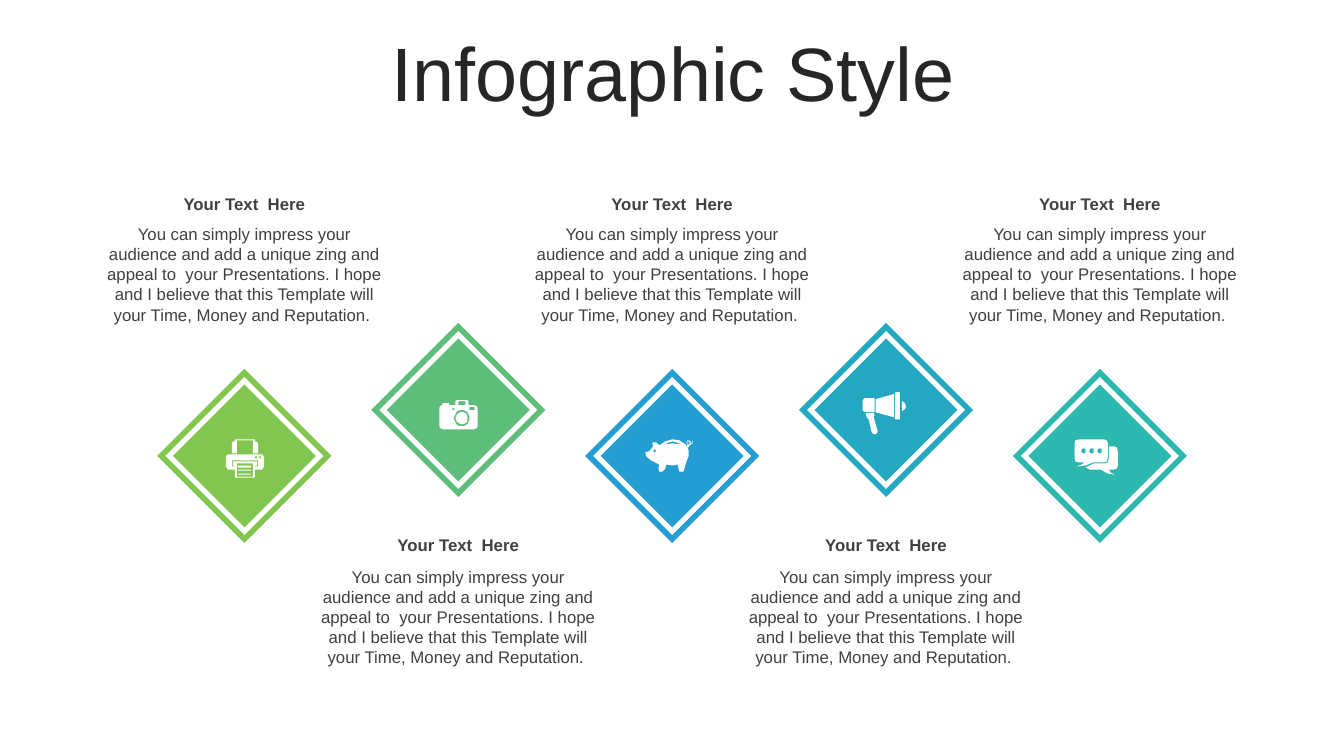
from dataclasses import dataclass
from math import cos, pi, sin

from lxml import etree
from pptx import Presentation
from pptx.dml.color import RGBColor
from pptx.enum.shapes import MSO_SHAPE
from pptx.enum.text import MSO_ANCHOR, PP_ALIGN
from pptx.oxml.ns import qn
from pptx.util import Cm, Pt

DIAMOND = MSO_SHAPE.DIAMOND
CENTER = PP_ALIGN.CENTER
MIDDLE = MSO_ANCHOR.MIDDLE
TOP = MSO_ANCHOR.TOP

Outline = list[tuple[float, float]]

COLORS = {
    "title": "262626",
    "text": "404040",
    "icon": "FFFFFF",
    "lime": "82C650",
    "green": "5CBE7A",
    "blue": "249ED2",
    "cyan": "24A8C2",
    "teal": "2CB8AE",
}
FONT = "Arial"
HEAD = "Your Text  Here"
BODY = (
    "You can simply impress your audience and add a unique zing and appeal to  "
    "your Presentations. I hope and I believe that this Template will your Time, "
    "Money and Reputation. "
)
MID_X = 16.94
STEP = 5.39
FILL_SIZE = 3.6
FRAME_SIZE = 4.19
TEXT_WIDTH = 7.67
UNIT = Cm(2.54) / 100


@dataclass
class Row:
    mid: float
    head: float
    body: float


@dataclass
class Item:
    color: str
    row: Row
    left: float
    top: float
    icon: list[Outline]


def box(left: float, top: float, right: float, bottom: float) -> Outline:
    return [(left, top), (right, top), (right, bottom), (left, bottom)]


def dot(x: float, y: float, radius: float) -> Outline:
    turns = [2 * pi * i / 24 for i in range(24)]
    return [(x + radius * cos(t), y + radius * sin(t)) for t in turns]


def poly(points: str) -> Outline:
    pairs = [pair.split(",") for pair in points.split()]
    return [(float(x), float(y)) for x, y in pairs]


PRINTER = [
    box(12, 34, 25, 35),
    box(12, 30, 25, 31),
    box(12, 26, 25, 28),
    box(11, 24, 27, 37),
    poly("6,21 6,27 9,27 9,26 7,26 7,22 31,22 31,26 29,26 29,27 32,27 32,21"),
    dot(34, 18, 1),
    dot(30, 18, 1),
    poly("2,15 36,15 38,17 38,27 36,30 29,30 29,38 9,38 9,30 2,30 0,27 0,17"),
    poly("9,0 29,0 29,2 30,2 32,4 32,14 27,14 27,1 11,1 11,14 6,14 6,4 7,2 9,2"),
]
CAMERA = [
    dot(22.5, 18, 6),
    dot(22.5, 18, 8),
    box(13, 8, 15, 10),
    box(30, 7, 35, 10),
    box(19, 1, 26, 5),
    poly("17,0 28,0 29,1 29,5 34,5 37,6 38,8 38,26 37,28 34,29 3,29 1,28 0,26 "
         "0,8 1,6 3,5 3,4 4,3 9,3 10,4 10,5 16,5 16,1"),
]
PIG = [
    dot(9.5, 11.5, 1.3),
    dot(43, 3.5, 1.2),
    poly("27,2 21,4 21,5 27,3.5 33,5 34,4"),
    poly("27,0 34,1 40,5 41,7 42,6 41,3 42,1 43,1 45,2 45,5 46,4 47,1 47,4 44,6 "
         "43,8 42,8 43,11 43,17 41,22 38,32 34,32 32,25 27,26 21,25 20,29 17,32 "
         "14,32 13,29 14,25 6,21 1,17 0,13 4,12 8,7 7,4 8,3 11,3 14,6 20,2"),
]
HORN = [
    poly("11,21 12,23 11,25 15,39 14,41 12,42 10,41 9,40 6,27 4,25 3,21"),
    poly("39,9 42,11 43,14 42,17 39,19"),
    poly("2,6 12,6 12,20 2,20 0,18 0,8"),
    poly("31,2 31,25 13,20 13,7"),
    box(32, 0, 37, 27),
]
CHAT = [
    *[dot(x, 11.5, 2.5) for x in (9, 17, 25)],
    poly("34,7 39,7 42,8 43,12 43,26 42,29 39,30 34,30 36,33 40,35 33,34 26,30 "
         "15,30 11,28 19,24 30,24 33,23 34,19"),
    poly("5,0 29,0 32,1 33,4 33,18 32,22 29,23 18,23 11,26 2,27 7,25 10,23 5,23 "
         "1,22 0,18 0,4 1,1"),
]

LOW = Row(11.49, 4.75, 5.51)
HIGH = Row(10.33, 13.36, 14.15)
ITEMS = [
    Item("lime", LOW, 5.69, 11.07, PRINTER),
    Item("green", HIGH, 11.07, 10.08, CAMERA),
    Item("blue", LOW, 16.26, 11.07, PIG),
    Item("cyan", HIGH, 21.74, 9.88, HORN),
    Item("teal", LOW, 27.08, 11.07, CHAT),
]


def paint(name: str) -> RGBColor:
    return RGBColor.from_string(COLORS[name])


def write(slide, text: str, x: float, top: float, width: float, height: float,
          size: float, color: str, bold: bool = False, anchor=TOP):
    area = slide.shapes.add_textbox(Cm(x - width / 2), Cm(top), Cm(width), Cm(height))
    frame = area.text_frame
    frame.word_wrap = True
    frame.vertical_anchor = anchor
    para = frame.paragraphs[0]
    para.text = text
    para.alignment = CENTER
    para.font.name = FONT
    para.font.size = Pt(size)
    para.font.bold = bold
    para.font.color.rgb = paint(color)
    return para


def diamond(slide, x: float, y: float, size: float):
    shape = slide.shapes.add_shape(
        DIAMOND, Cm(x - size / 2), Cm(y - size / 2), Cm(size), Cm(size))
    shape.shadow.inherit = False
    return shape


def draw_icon(slide, item: Item) -> None:
    first, *rest = item.icon
    pen = slide.shapes.build_freeform(*first[0], scale=UNIT)
    pen.add_line_segments(first[1:], close=True)
    for outline in rest:
        pen.move_to(*outline[0])
        pen.add_line_segments(outline[1:], close=True)
    shape = pen.convert_to_shape(Cm(item.left), Cm(item.top))
    shape.shadow.inherit = False
    shape.fill.solid()
    shape.fill.fore_color.rgb = paint("icon")
    shape.line.fill.background()


def draw_item(slide, item: Item, x: float) -> None:
    row = item.row
    core = diamond(slide, x, row.mid, FILL_SIZE)
    core.fill.solid()
    core.fill.fore_color.rgb = paint(item.color)
    core.line.fill.background()
    rim = diamond(slide, x, row.mid, FRAME_SIZE)
    rim.fill.background()
    rim.line.color.rgb = paint(item.color)
    rim.line.width = Pt(4)
    etree.SubElement(rim.line._get_or_add_ln(), qn("a:miter"), lim="800000")
    draw_icon(slide, item)
    write(slide, HEAD, x, row.head, TEXT_WIDTH, 0.77, 12, "text", bold=True)
    write(slide, BODY, x, row.body, TEXT_WIDTH, 2.82, 12, "text")


def main() -> None:
    deck = Presentation()
    deck.slide_width = Cm(33.87)
    deck.slide_height = Cm(19.05)
    slide = deck.slides.add_slide(deck.slide_layouts[6])
    title = write(slide, "Infographic Style", 16.97, 0.94, 32.16, 2, 54, "title",
                  anchor=MIDDLE)
    title.line_spacing = 0.9
    for i, item in enumerate(ITEMS):
        draw_item(slide, item, MID_X + (i - 2) * STEP)
    deck.save("out.pptx")


if __name__ == "__main__":
    main()
